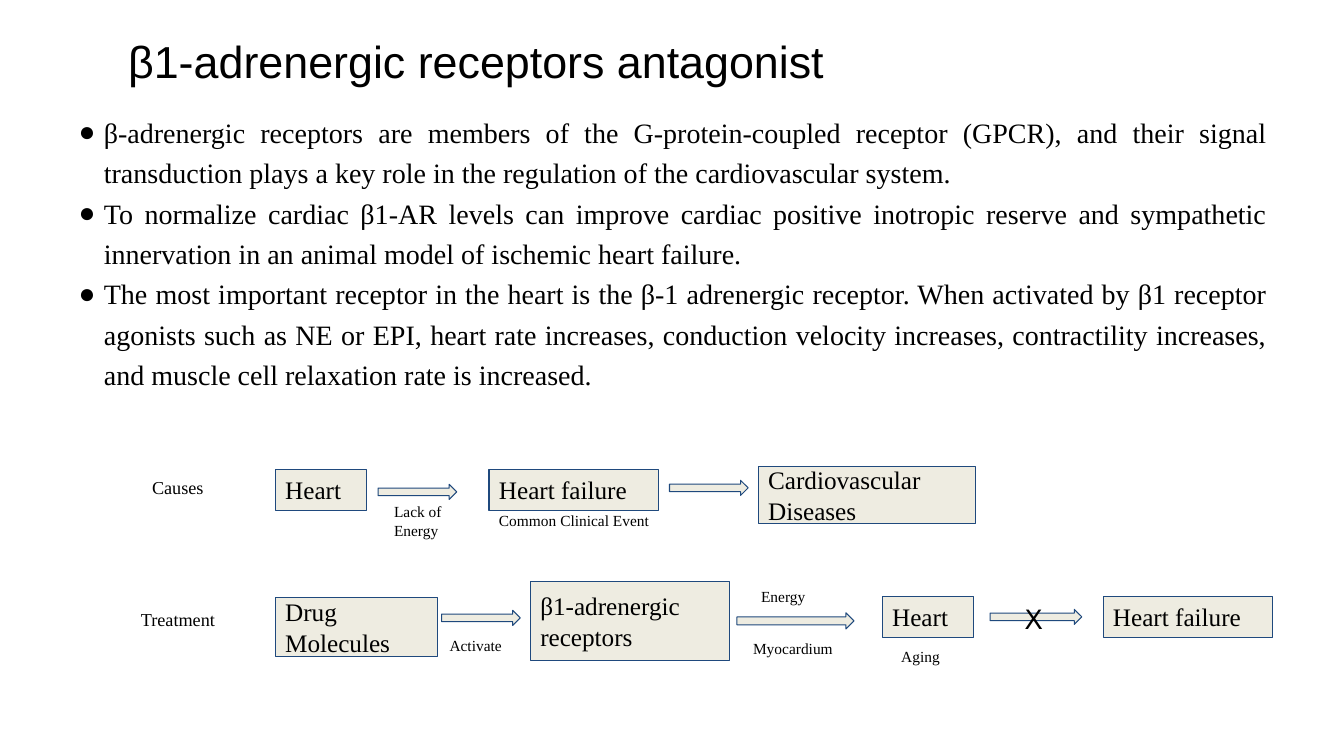
from dataclasses import dataclass
from lxml import etree
from pptx import Presentation
from pptx.dml.color import RGBColor
from pptx.enum import shapes, text
from pptx.oxml import ns
from pptx.util import Inches, Pt


@dataclass(frozen=True)
class Theme:
    ink: RGBColor = RGBColor.from_string("000000")
    fill: RGBColor = RGBColor.from_string("EEECE1")
    outline: RGBColor = RGBColor.from_string("1F497D")
    title_font: str = "Arial"
    text_font: str = "Times New Roman"
    cross_font: str = "League Spartan"
    title_size: int = 32
    body_size: int = 20
    step_size: int = 18
    row_size: int = 13
    note_size: int = 11
    cross_size: int = 21


THEME = Theme()

TITLE = "β1-adrenergic receptors antagonist"
POINTS = [
    "β-adrenergic receptors are members of the G-protein-coupled receptor (GPCR), and their signal "
    "transduction plays a key role in the regulation of the cardiovascular system.",
    "To normalize cardiac β1-AR levels can improve cardiac positive inotropic reserve and sympathetic "
    "innervation in an animal model of ischemic heart failure.",
    "The most important receptor in the heart is the β-1 adrenergic receptor. When activated by β1 "
    "receptor agonists such as NE or EPI, heart rate increases, conduction velocity increases, "
    "contractility increases, and muscle cell relaxation rate is increased.",
]

# Each part: left from the row's left edge, centre from the row's midline, width, height
CAUSES = {
    "label": ("Causes", 0.11, -0.02, 1.09, 0.42),
    "steps": [
        ("Heart", 1.43, 0, 0.91, 0.41),
        ("Heart failure", 3.55, 0, 1.68, 0.41),
        ("Cardiovascular Diseases", 6.22, 0.05, 2.16, 0.56),
    ],
    "arrows": [(2.45, 0.02, 0.78, 0.15), (5.34, -0.02, 0.78, 0.15)],
    "notes": [
        ("Lack of Energy", 2.51, 0.31, 0.84, 0.57),
        ("Common Clinical Event", 3.55, 0.31, 1.82, 0.39),
    ],
    "crosses": [],
}
TREATMENT = {
    "label": ("Treatment", 0, 0.02, 1.56, 0.42),
    "steps": [
        ("Drug Molecules", 1.43, 0.1, 1.61, 0.59),
        ("β1-adrenergic receptors", 3.96, 0.04, 1.98, 0.78),
        ("Heart", 7.45, 0, 0.91, 0.41),
        ("Heart failure", 9.64, 0, 1.68, 0.41),
    ],
    "arrows": [(3.08, 0.01, 0.78, 0.15), (6.01, 0.04, 1.16, 0.16), (8.52, 0, 0.91, 0.15)],
    "notes": [
        ("Activate", 3.06, 0.29, 0.91, 0.39),
        ("Energy", 6.15, -0.19, 0.84, 0.39),
        ("Myocardium", 6.07, 0.32, 1.29, 0.39),
        ("Aging", 7.54, 0.4, 0.84, 0.39),
    ],
    "crosses": [("X", 8.77, 0.01, 0.46, 0.56)],
}


def prepare_frame(frame, anchor, auto_size=text.MSO_AUTO_SIZE.NONE):
    frame.word_wrap = True
    frame.auto_size = auto_size
    frame.vertical_anchor = anchor
    frame.margin_left = frame.margin_right = Inches(0.1)
    frame.margin_top = frame.margin_bottom = Inches(0.1)


def style_paragraph(paragraph, size, font, align=text.PP_ALIGN.LEFT):
    paragraph.alignment = align
    for run in paragraph.runs:
        run.font.size = Pt(size)
        run.font.name = font
        run.font.color.rgb = THEME.ink


def place(part, box):
    part.left, part.top, part.width, part.height = (Inches(length) for length in box)


def add_bullet(paragraph):
    properties = paragraph._p.get_or_add_pPr()
    properties.set("marL", str(Inches(0.25)))
    properties.set("indent", str(Inches(-0.25)))
    colour = etree.SubElement(properties, ns.qn("a:buClr"))
    etree.SubElement(colour, ns.qn("a:srgbClr"), val=str(THEME.ink))
    etree.SubElement(properties, ns.qn("a:buChar"), char="●")


def fill_title(slide, box):
    title = slide.shapes.title
    place(title, box)
    frame = title.text_frame
    frame.text = TITLE
    prepare_frame(frame, text.MSO_ANCHOR.TOP)
    frame.paragraphs[0].line_spacing = 0.9
    style_paragraph(frame.paragraphs[0], THEME.title_size, THEME.title_font)


def fill_points(slide, box):
    points = slide.placeholders[1]
    place(points, box)
    frame = points.text_frame
    frame.text = "\n".join(POINTS)
    prepare_frame(frame, text.MSO_ANCHOR.TOP)
    for paragraph in frame.paragraphs:
        paragraph.line_spacing = 1.2
        paragraph.space_before = Pt(0)
        style_paragraph(paragraph, THEME.body_size, THEME.text_font, text.PP_ALIGN.JUSTIFY)
        add_bullet(paragraph)


def add_block(slide, kind, box):
    block = slide.shapes.add_shape(kind, *(Inches(length) for length in box))
    block.shadow.inherit = False
    block.fill.solid()
    block.fill.fore_color.rgb = THEME.fill
    block.line.color.rgb = THEME.outline
    block.line.width = Pt(0.75)
    return block


def add_step(slide, wording, box):
    frame = add_block(slide, shapes.MSO_SHAPE.RECTANGLE, box).text_frame
    frame.text = wording
    prepare_frame(frame, text.MSO_ANCHOR.MIDDLE)
    style_paragraph(frame.paragraphs[0], THEME.step_size, THEME.text_font)


def add_label(slide, wording, box, size, font):
    frame = slide.shapes.add_textbox(*(Inches(length) for length in box)).text_frame
    frame.text = wording
    prepare_frame(frame, text.MSO_ANCHOR.TOP, text.MSO_AUTO_SIZE.SHAPE_TO_FIT_TEXT)
    style_paragraph(frame.paragraphs[0], size, font)


def draw_pathway(slide, pathway, box):
    left, top, _, row_height = box
    midline = top + row_height / 2

    def locate(dx, dy, width, height):
        return left + dx, midline + dy - height / 2, width, height

    wording, *spot = pathway["label"]
    add_label(slide, wording, locate(*spot), THEME.row_size, THEME.text_font)
    for wording, *spot in pathway["steps"]:
        add_step(slide, wording, locate(*spot))
    for spot in pathway["arrows"]:
        add_block(slide, shapes.MSO_SHAPE.RIGHT_ARROW, locate(*spot))
    for wording, *spot in pathway["notes"]:
        add_label(slide, wording, locate(*spot), THEME.note_size, THEME.text_font)
    for wording, *spot in pathway["crosses"]:
        add_label(slide, wording, locate(*spot), THEME.cross_size, THEME.cross_font)


def main():
    deck = Presentation()
    deck.slide_width = Inches(13.33)
    deck.slide_height = Inches(7.5)
    slide = deck.slides.add_slide(deck.slide_layouts[1])
    fill_title(slide, (1.17, 0.29, 7.69, 1.09))
    fill_points(slide, (0.68, 0.98, 11.99, 3.17))
    draw_pathway(slide, CAUSES, (1.3, 4.41, 11.32, 0.9))
    draw_pathway(slide, TREATMENT, (1.3, 5.67, 11.32, 0.9))
    deck.save("out.pptx")


if __name__ == "__main__":
    main()
